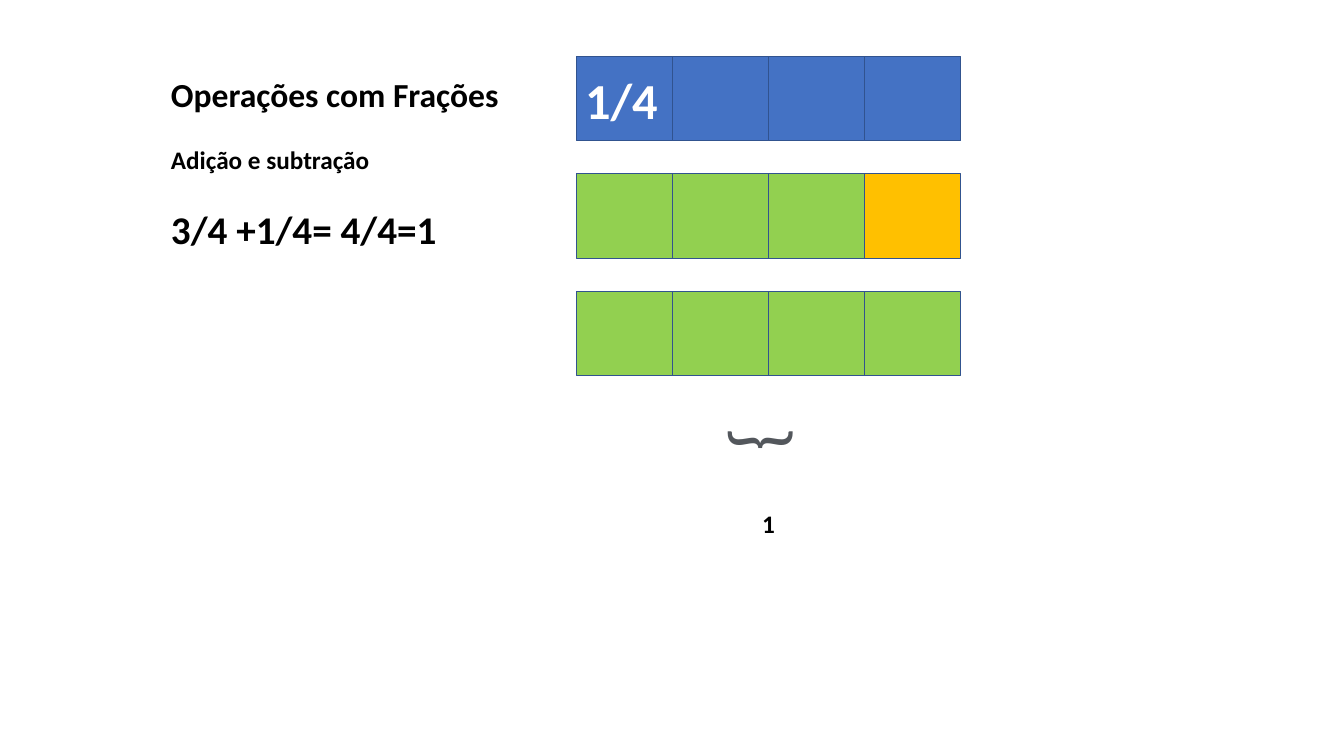
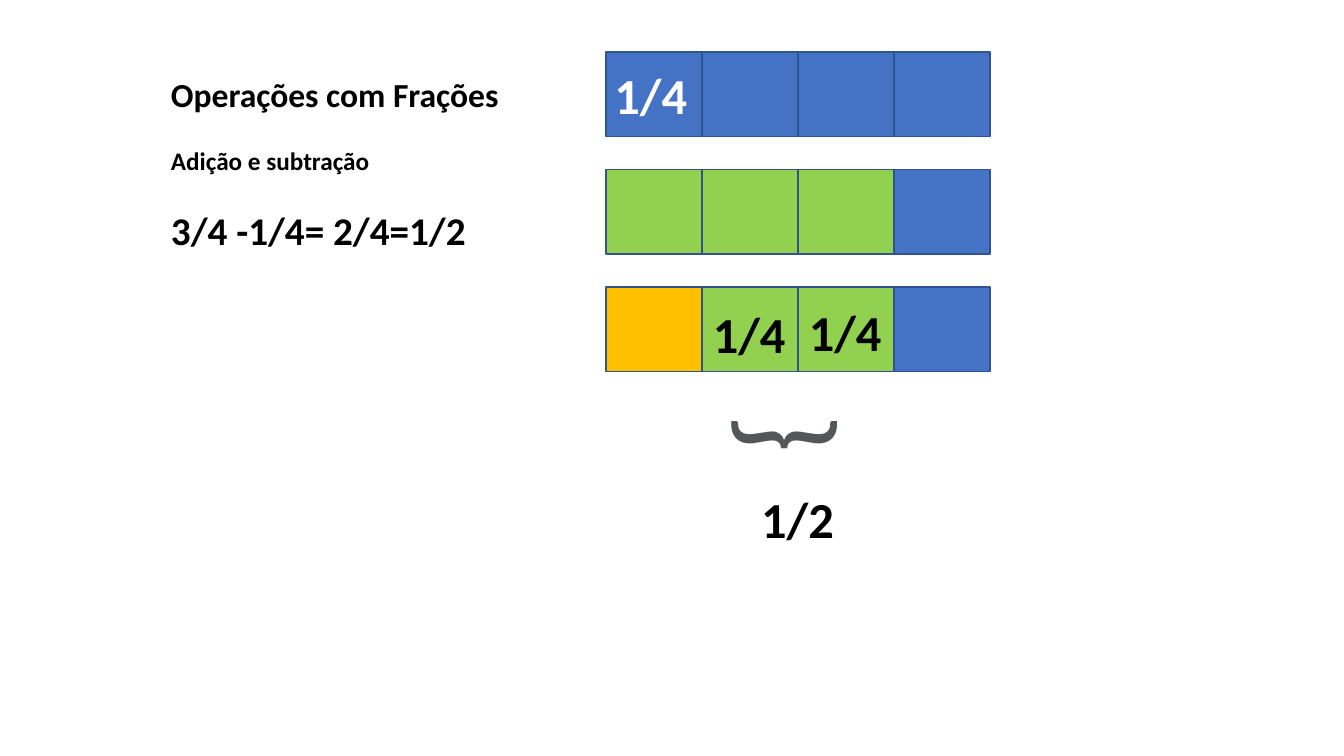
"""Build two slides that add and subtract fractions with coloured bars."""
from pptx import Presentation
from pptx.dml.color import RGBColor
from pptx.enum.shapes import MSO_SHAPE
from pptx.enum.text import MSO_ANCHOR, PP_ALIGN
from pptx.util import Cm, Pt

FONT = "Calibri"
BLACK = RGBColor(0x00, 0x00, 0x00)
WHITE = RGBColor(0xFF, 0xFF, 0xFF)
GREY = RGBColor(0x53, 0x57, 0x5C)
EDGE = RGBColor(0x31, 0x53, 0x8F)
BLUE = RGBColor(0x44, 0x72, 0xC4)
GREEN = RGBColor(0x92, 0xD0, 0x50)
GOLD = RGBColor(0xFF, 0xC0, 0x00)

CELL_W, CELL_H, PITCH = 2.42, 2.13, 2.96


def style(para, size, color=BLACK, bold=True):
    for run in para.runs:
        font = run.font
        font.name, font.size, font.bold = FONT, Pt(size), bold
        font.color.rgb = color


def heading(slide, top, sum_text):
    box = slide.shapes.add_textbox(Cm(4.06), Cm(top), Cm(29.8), Cm(10.19))
    frame = box.text_frame
    frame.word_wrap = True
    frame.text = "\n".join(["Operações com Frações", "Adição e subtração", sum_text])
    for para, size in zip(frame.paragraphs, (24, 18, 28)):
        style(para, size)
    for para in frame.paragraphs[1:]:
        para.space_before = Pt(22)


def label(slide, text, left, top, width=2.36, height=1.8, size=36,
          color=BLACK, bold=True, turn=0):
    box = slide.shapes.add_textbox(Cm(left), Cm(top), Cm(width), Cm(height))
    box.rotation = turn
    frame = box.text_frame
    frame.word_wrap = False
    frame.vertical_anchor = MSO_ANCHOR.MIDDLE
    frame.text = text
    para = frame.paragraphs[0]
    para.alignment = PP_ALIGN.CENTER
    style(para, size, color, bold)


def brace(slide, left, top, width, height, size):
    label(slide, "}", left, top, width, height, size, GREY, False, 90)


def cell(slide, left, top, color):
    rect = slide.shapes.add_shape(MSO_SHAPE.RECTANGLE, Cm(left), Cm(top),
                                  Cm(CELL_W), Cm(CELL_H))
    rect.shadow.inherit = False
    rect.fill.solid()
    rect.fill.fore_color.rgb = color
    rect.line.color.rgb = EDGE
    rect.line.width = Pt(1)


def bars(slide, left, top, rows):
    for row, colors in enumerate([[BLUE] * 4, *rows]):
        for col, color in enumerate(colors):
            cell(slide, left + col * CELL_W, top + row * PITCH, color)
    label(slide, "1/4", left - 0.05, top + 0.18, color=WHITE)


def add_page(deck):
    slide = deck.slides.add_slide(deck.slide_layouts[6])
    heading(slide, 1.73, "3/4 +1/4= 4/4=1")
    bars(slide, 14.53, 1.42, [[GREEN] * 3 + [GOLD], [GREEN] * 4])
    brace(slide, 18.8, 9.78, 1.12, 2.57, 54)
    label(slide, "1", 18.95, 12.67, 0.84, 1.02, 18)


def take_page(deck):
    slide = deck.slides.add_slide(deck.slide_layouts[6])
    heading(slide, 1.75, "3/4 -1/4= 2/4=1/2")
    bars(slide, 15.27, 1.31,
         [[GREEN] * 3 + [BLUE], [GOLD, GREEN, GREEN, BLUE]])
    for left, top in ((17.7, 7.49), (20.12, 7.44)):
        label(slide, "1/4", left, top)
    brace(slide, 19.35, 8.94, 1.5, 4.01, 88)
    label(slide, "1/2", 18.92, 12.17)


def main():
    deck = Presentation()
    deck.slide_width, deck.slide_height = Cm(33.87), Cm(19.05)
    add_page(deck)
    take_page(deck)
    deck.save("out.pptx")


if __name__ == "__main__":
    main()
